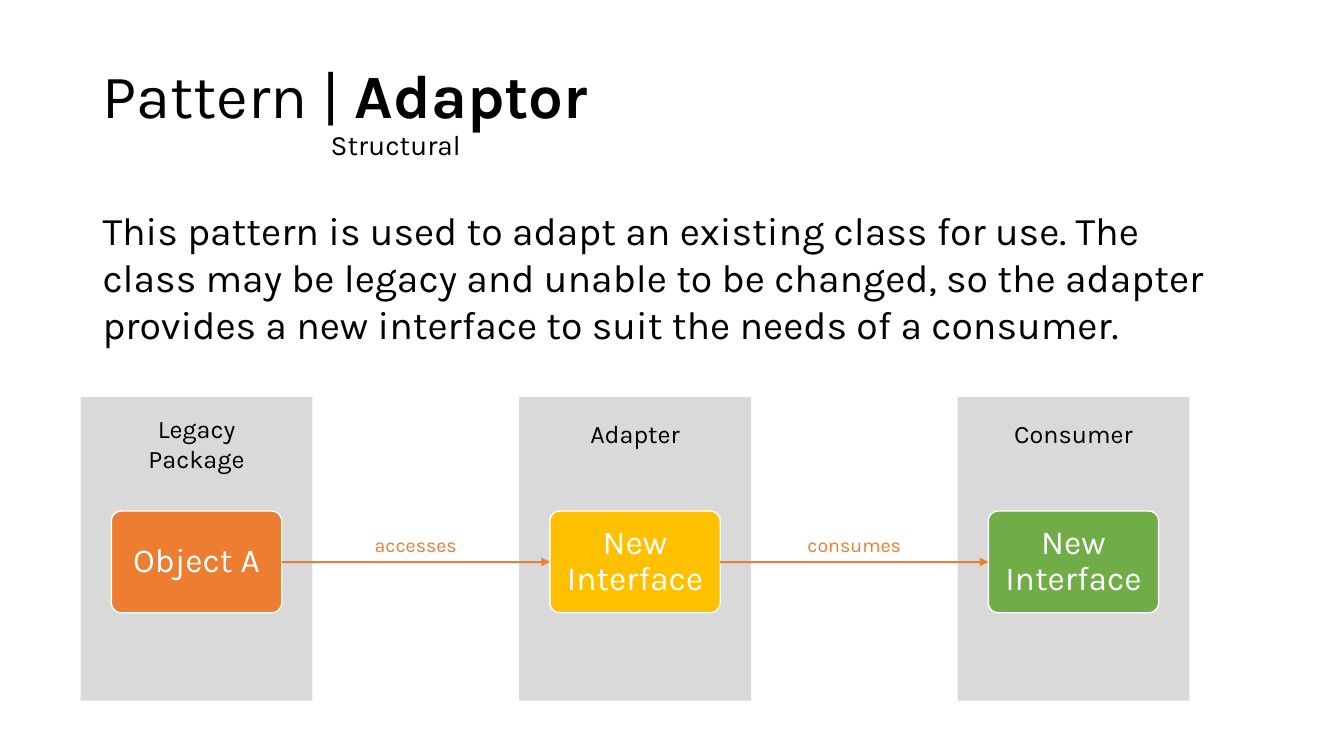
from lxml import etree
from pptx import Presentation
from pptx.dml.color import RGBColor
from pptx.enum.shapes import MSO_CONNECTOR, MSO_SHAPE
from pptx.enum.text import MSO_ANCHOR, PP_ALIGN
from pptx.oxml.ns import qn
from pptx.util import Pt

LEFT, CENTER = PP_ALIGN.LEFT, PP_ALIGN.CENTER
TOP, MIDDLE = MSO_ANCHOR.TOP, MSO_ANCHOR.MIDDLE
RECTANGLE, ROUNDED = MSO_SHAPE.RECTANGLE, MSO_SHAPE.ROUNDED_RECTANGLE
STRAIGHT = MSO_CONNECTOR.STRAIGHT

# Content: paragraphs are lists of (text, theme size, bold)
TITLE = [
    [("Pattern | ", "title", False), ("Adaptor", "title", True)],
    [("Structural", "subtitle", False)],
]
DESCRIPTION = (
    "This pattern is used to adapt an existing class for use. The class may be "
    "legacy and unable to be changed, so the adapter provides a new interface "
    "to suit the needs of a consumer."
)
# Column label, label top, object name, object colour
COLUMNS = [
    ("Legacy Package", 291.6, "Object A", "orange"),
    ("Adapter", 295.2, "New Interface", "yellow"),
    ("Consumer", 295.2, "New Interface", "green"),
]
ARROW_LABELS = ["accesses", "consumes"]

THEME = {
    "font": "Karla",
    "sizes": {"title": 44, "subtitle": 20, "body": 28, "object": 24,
              "label": 18, "arrow": 14},
    "colors": {"text": "000000", "white": "FFFFFF", "panel": "D9D9D9",
               "orange": "ED7D31", "yellow": "FFC000", "green": "70AD47"},
}

# Layout in points
MARGIN, TEXT_WIDTH = 66.2, 828
COLUMN_LEFT, COLUMN_PITCH = 57.6, 313.2
PANEL_TOP, PANEL_WIDTH, PANEL_HEIGHT = 283.7, 165.6, 216.7
OBJECT_TOP, OBJECT_WIDTH, OBJECT_HEIGHT = 365, 121.7, 72.7
OBJECT_INSET = (PANEL_WIDTH - OBJECT_WIDTH) / 2
ARROW_Y = OBJECT_TOP + OBJECT_HEIGHT / 2
ARROW_LABEL_TOP, ARROW_LABEL_WIDTH = 377.3, 90

presentation = Presentation()
presentation.slide_width, presentation.slide_height = Pt(960), Pt(540)
slide = presentation.slides.add_slide(presentation.slide_layouts[6])


def color(name):
    return RGBColor.from_string(THEME["colors"][name])


def write(shape, paragraphs, size="body", ink="text", align=LEFT, anchor=TOP,
          insets=(7.2, 3.6), spacing=1.0):
    """Fill a shape with a string or with paragraphs of formatted runs."""
    if isinstance(paragraphs, str):
        paragraphs = [[(paragraphs, size, False)]]
    frame = shape.text_frame
    frame.word_wrap, frame.vertical_anchor = True, anchor
    frame.margin_left = frame.margin_right = Pt(insets[0])
    frame.margin_top = frame.margin_bottom = Pt(insets[1])
    for index, runs in enumerate(paragraphs):
        paragraph = frame.add_paragraph() if index else frame.paragraphs[0]
        paragraph.alignment, paragraph.line_spacing = align, spacing
        for text, run_size, bold in runs:
            run = paragraph.add_run()
            run.text = text
            run.font.name, run.font.bold = THEME["font"], bold
            run.font.size = Pt(THEME["sizes"][run_size])
            run.font.color.rgb = color(ink)
    return frame


def add_text(left, top, width, height, paragraphs, **style):
    box = slide.shapes.add_textbox(Pt(left), Pt(top), Pt(width), Pt(height))
    return write(box, paragraphs, **style)


def add_block(kind, left, top, width, height, fill, outline=None):
    shape = slide.shapes.add_shape(kind, Pt(left), Pt(top), Pt(width), Pt(height))
    shape.shadow.inherit = False
    shape.fill.solid()
    shape.fill.fore_color.rgb = color(fill)
    if outline:
        shape.line.color.rgb = color(outline)
        shape.line.width = Pt(1)
    else:
        shape.line.fill.background()
    return shape


def add_arrow(source, target):
    arrow = slide.shapes.add_connector(STRAIGHT, 0, 0, 0, 0)
    arrow.begin_connect(source, 3)
    arrow.end_connect(target, 1)
    arrow.line.color.rgb = color("orange")
    arrow.line.width = Pt(1.5)
    etree.SubElement(arrow.line._get_or_add_ln(), qn("a:tailEnd"), type="triangle")
    etree.SubElement(arrow._element.spPr, qn("a:effectLst"))


# Title, with the category indented below the pattern name
title = add_text(MARGIN, 28.8, TEXT_WIDTH, 104.4, TITLE, anchor=MIDDLE, spacing=0.9)
title.paragraphs[1]._p.get_or_add_pPr().set("marL", str(Pt(163)))

# Description
add_text(MARGIN, 144, TEXT_WIDTH, 149, DESCRIPTION)

# Columns: panel, label and object
objects = []
for index, (label, label_top, name, fill) in enumerate(COLUMNS):
    left = COLUMN_LEFT + index * COLUMN_PITCH
    object_left = left + OBJECT_INSET
    add_block(RECTANGLE, left, PANEL_TOP, PANEL_WIDTH, PANEL_HEIGHT, "panel")
    add_text(object_left, label_top, OBJECT_WIDTH, 29, label, size="label", align=CENTER)
    block = add_block(ROUNDED, object_left, OBJECT_TOP, OBJECT_WIDTH, OBJECT_HEIGHT,
                      fill, outline="white")
    block.adjustments[0] = 0.1
    write(block, name, size="object", ink="white", align=CENTER, anchor=MIDDLE,
          insets=(10, 10), spacing=0.9)
    objects.append(block)

# Arrows between neighbouring objects, labelled at their midpoints
for index, label in enumerate(ARROW_LABELS):
    add_arrow(objects[index], objects[index + 1])
    middle = COLUMN_LEFT + PANEL_WIDTH / 2 + (index + 0.5) * COLUMN_PITCH
    add_text(middle - ARROW_LABEL_WIDTH / 2, ARROW_LABEL_TOP, ARROW_LABEL_WIDTH, 24.5,
             label, size="arrow", ink="orange", align=CENTER)

presentation.save("out.pptx")
